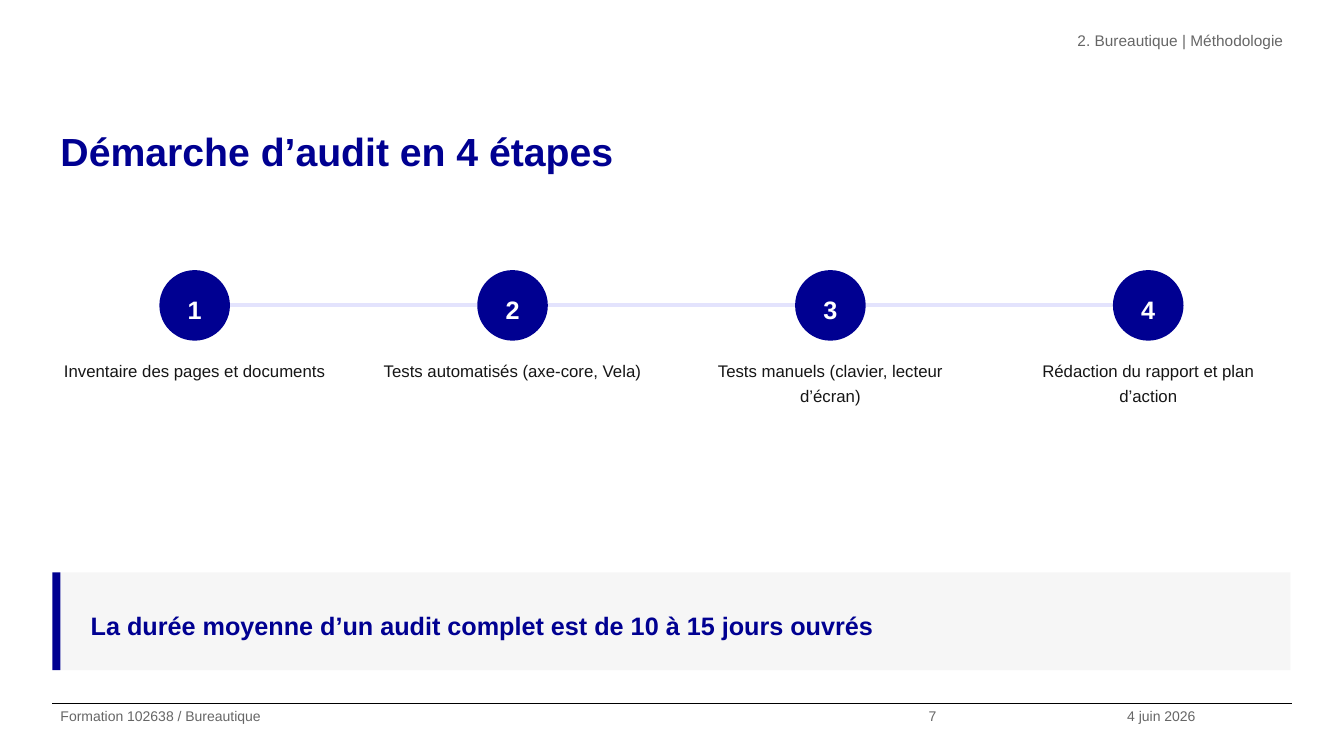
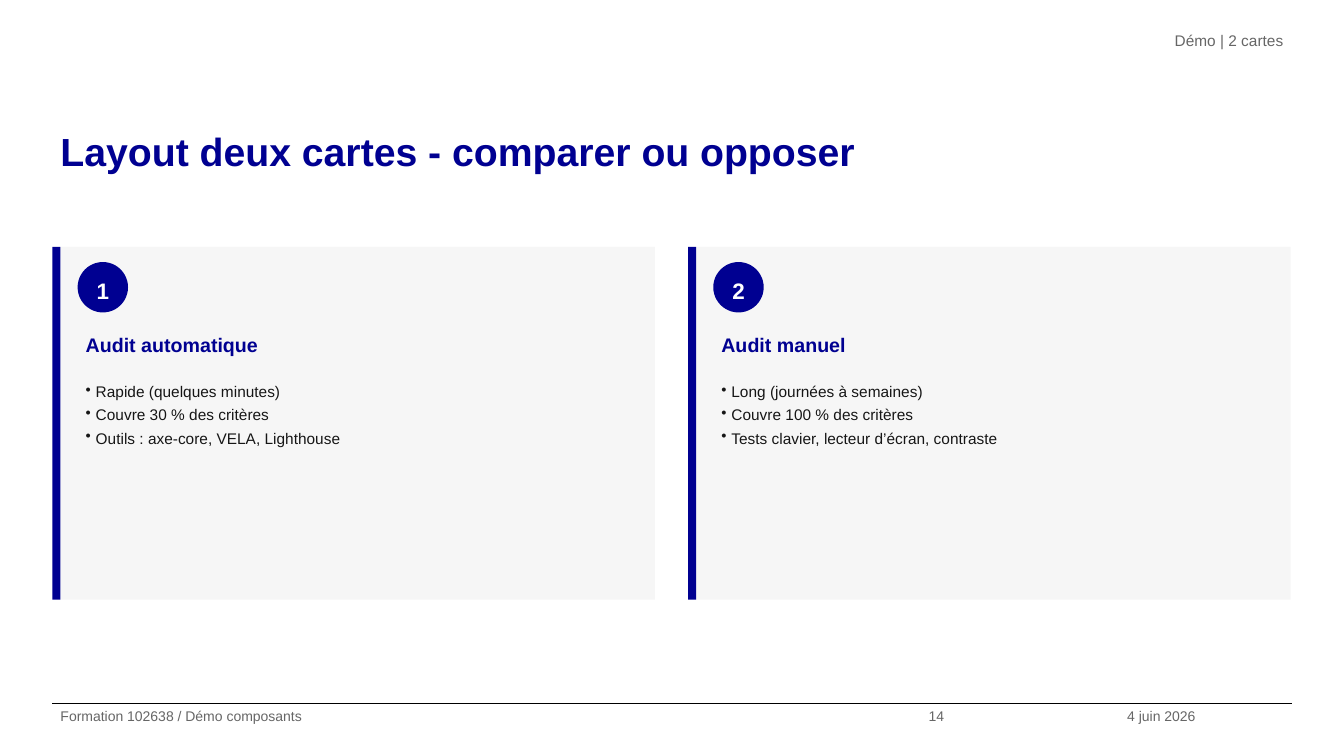
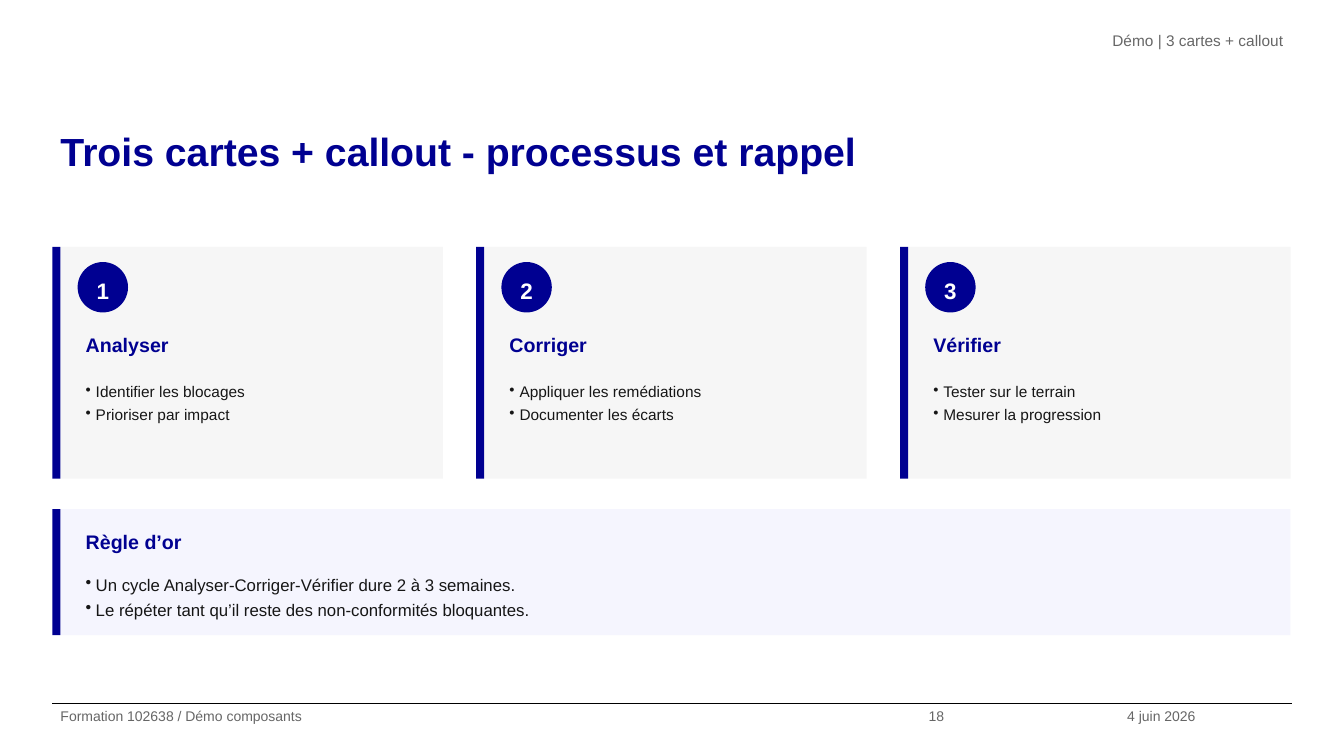
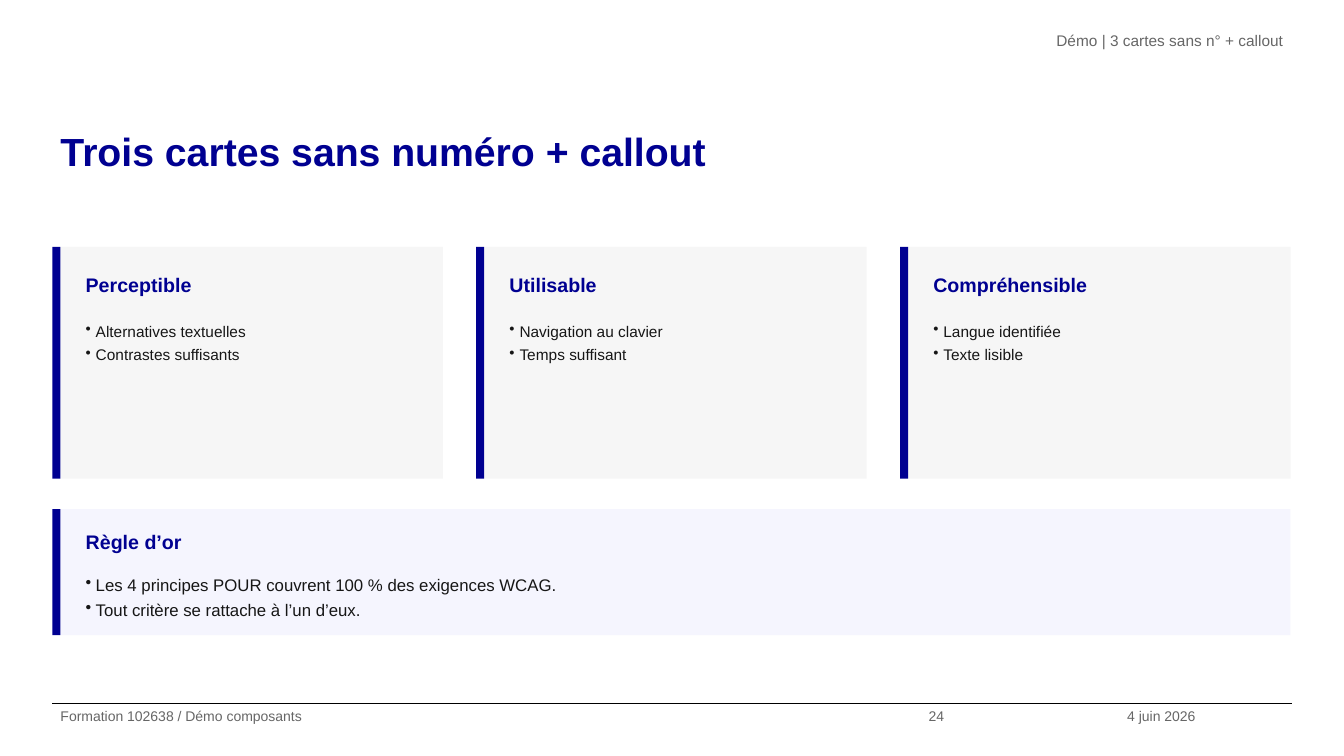
from dataclasses import dataclass
from typing import NamedTuple, Optional

import pptx
import pptx.dml.color
import pptx.enum.shapes
import pptx.enum.text
import pptx.oxml
import pptx.oxml.ns
import pptx.util
from pptx.util import Inches

ALIGN = pptx.enum.text.PP_ALIGN
ANCHOR = pptx.enum.text.MSO_ANCHOR
SHAPE = pptx.enum.shapes.MSO_SHAPE

# Shared look
COLOURS = {
    "blue": "000091", "pale_blue": "E3E3FD", "tint": "F5F5FE", "grey": "F6F6F6",
    "text": "161616", "muted": "666666", "white": "FFFFFF", "black": "000000",
}
FONT = "Arial"
LINE_SPACING = 1.25
BULLET_INDENT = 0.1

# Page grid, in inches
SLIDE_WIDTH, SLIDE_HEIGHT = 13.33, 7.5
MARGIN, GUTTER, ACCENT = 0.52, 0.33, 0.08
CONTENT_WIDTH = 12.28
CARD_TOP, FOOTER_TOP = 2.45, 6.98
DATE = "4 juin 2026"


class Box(NamedTuple):
    left: float
    top: float
    width: float
    height: float


class Style(NamedTuple):
    size: float
    colour: str
    bold: bool = False
    align: ALIGN = ALIGN.LEFT
    anchor: ANCHOR = ANCHOR.TOP
    inset: float = 0.05
    bullets: bool = False


STYLES = {
    "title": Style(28, "blue", bold=True, inset=0),
    "header": Style(11, "muted", align=ALIGN.RIGHT, inset=0),
    "footer": Style(10, "muted", inset=0),
    "step": Style(12, "text", align=ALIGN.CENTER),
    "message": Style(18, "blue", bold=True, anchor=ANCHOR.MIDDLE),
    "heading": Style(14, "blue", bold=True),
    "card_list": Style(11, "text", bullets=True),
    "callout_list": Style(12, "text", bullets=True),
}


@dataclass
class Page:
    title: str
    header: str
    footer: str
    number: int


@dataclass
class Card:
    heading: str
    points: list[str]
    number: Optional[int] = None


def rgb(name: str) -> pptx.dml.color.RGBColor:
    return pptx.dml.color.RGBColor.from_string(COLOURS[name])


def column(index: int, count: int, top: float, height: float) -> Box:
    """Cell of a row of equal columns across the content width."""
    width = (CONTENT_WIDTH - GUTTER * (count - 1)) / count
    return Box(MARGIN + index * (width + GUTTER), top, width, height)


def apply(target: object, values: dict) -> None:
    for name, value in values.items():
        setattr(target, name, value)


def place(shape, box: Box) -> None:
    apply(shape, {name: Inches(value) for name, value in box._asdict().items()})


# Text
def set_bullet(paragraph, bulleted: bool) -> None:
    properties = paragraph._p.get_or_add_pPr()
    indent = Inches(BULLET_INDENT) if bulleted else 0
    properties.set("marL", str(indent))
    properties.set("indent", str(-indent))
    tag = "a:buChar" if bulleted else "a:buNone"
    bullet = pptx.oxml.parse_xml(f"<{tag} {pptx.oxml.ns.nsdecls('a')}/>")
    if bulleted:
        bullet.set("char", "•")
    properties.append(bullet)


def write(shape, lines: list[str], style: Style) -> None:
    frame = shape.text_frame
    apply(frame, {
        "word_wrap": True,
        "auto_size": pptx.enum.text.MSO_AUTO_SIZE.NONE,
        "vertical_anchor": style.anchor,
        "margin_left": Inches(0.08), "margin_right": Inches(0.08),
        "margin_top": Inches(style.inset), "margin_bottom": Inches(style.inset),
    })
    frame.text = "\n".join(lines)
    for paragraph in frame.paragraphs:
        apply(paragraph, {
            "alignment": style.align, "line_spacing": LINE_SPACING,
            "space_before": pptx.util.Pt(0), "space_after": pptx.util.Pt(0),
        })
        set_bullet(paragraph, style.bullets)
        for run in paragraph.runs:
            apply(run.font, {"name": FONT, "size": pptx.util.Pt(style.size), "bold": style.bold})
            run.font.color.rgb = rgb(style.colour)


def add_text(slide, box: Box, lines: list[str], style: str) -> None:
    write(slide.shapes.add_textbox(*map(Inches, box)), lines, STYLES[style])


# Shapes
def add_filled(slide, kind: SHAPE, box: Box, colour: str):
    shape = slide.shapes.add_shape(kind, *map(Inches, box))
    shape.shadow.inherit = False
    shape.fill.solid()
    shape.fill.fore_color.rgb = rgb(colour)
    shape.line.fill.background()
    return shape


def add_line(slide, start: float, end: float, y: float, colour: str, width: float) -> None:
    line = slide.shapes.add_connector(
        pptx.enum.shapes.MSO_CONNECTOR.STRAIGHT, *map(Inches, (start, y, end, y)))
    line.line.color.rgb = rgb(colour)
    line.line.width = pptx.util.Pt(width)
    line._element.spPr.append(
        pptx.oxml.parse_xml(f"<a:effectLst {pptx.oxml.ns.nsdecls('a')}/>"))


def add_badge(slide, left: float, top: float, diameter: float, number: int, size: float) -> None:
    badge = add_filled(slide, SHAPE.OVAL, Box(left, top, diameter, diameter), "blue")
    write(badge, [str(number)], Style(size, "white", True, ALIGN.CENTER, ANCHOR.MIDDLE))


def add_panel(slide, box: Box, colour: str) -> None:
    """Filled band with a blue accent on its left edge."""
    body = box._replace(left=box.left + ACCENT, width=box.width - ACCENT)
    add_filled(slide, SHAPE.RECTANGLE, body, colour)
    add_filled(slide, SHAPE.RECTANGLE, box._replace(width=ACCENT), "blue")


# Components
def add_page(presentation, page: Page):
    slide = presentation.slides.add_slide(presentation.slide_layouts[1])
    title, header = slide.placeholders
    place(title, Box(MARGIN, 1.15, CONTENT_WIDTH, 1.05))
    write(title, [page.title], STYLES["title"])
    place(header, Box(4.83, 0.26, 7.98, 0.52))
    write(header, [page.header], STYLES["header"])

    add_line(slide, MARGIN, 12.81, FOOTER_TOP, "black", 0.8)
    footers = [(MARGIN, 8.61, page.footer), (9.13, 1.97, str(page.number)), (11.1, 1.71, DATE)]
    for left, width, text in footers:
        add_text(slide, Box(left, FOOTER_TOP, width, SLIDE_HEIGHT - FOOTER_TOP), [text], "footer")
    return slide


def add_steps(slide, labels: list[str]) -> None:
    diameter, top = 0.7, 2.68
    cells = [column(index, len(labels), 3.48, 2) for index in range(len(labels))]
    lefts = [cell.left + (cell.width - diameter) / 2 for cell in cells]
    for left, following in zip(lefts, lefts[1:]):
        add_line(slide, left + diameter, following, top + diameter / 2, "pale_blue", 2.88)
    for number, (label, cell, left) in enumerate(zip(labels, cells, lefts), start=1):
        add_badge(slide, left, top, diameter, number, 18)
        add_text(slide, cell, [label], "step")


def add_cards(slide, cards: list[Card], height: float) -> None:
    padding = 0.15
    for index, card in enumerate(cards):
        box = column(index, len(cards), CARD_TOP, height)
        add_panel(slide, box, "grey")
        left, width = box.left + 0.25, box.width - 0.4
        top = box.top + padding
        if card.number is not None:
            add_badge(slide, left, top, 0.5, card.number, 16)
            top += 0.6
        add_text(slide, Box(left, top, width, 0.45), [card.heading], "heading")
        list_top = top + 0.5
        list_height = box.top + box.height - padding - list_top
        add_text(slide, Box(left, list_top, width, list_height), card.points, "card_list")


def add_callout(slide, heading: str, points: list[str]) -> None:
    box = Box(MARGIN, 5.05, CONTENT_WIDTH, 1.25)
    add_panel(slide, box, "tint")
    left, width = box.left + 0.25, box.width - 0.35
    add_text(slide, Box(left, box.top + 0.1, width, 0.4), [heading], "heading")
    add_text(slide, Box(left, box.top + 0.55, width, 0.6), points, "callout_list")


def add_message(slide, text: str) -> None:
    box = Box(MARGIN, 5.68, CONTENT_WIDTH, 0.97)
    add_panel(slide, box, "grey")
    add_text(slide, Box(box.left + 0.3, box.top + 0.1, box.width - 0.4, 0.78), [text], "message")


def main() -> None:
    presentation = pptx.Presentation()
    presentation.slide_width = Inches(SLIDE_WIDTH)
    presentation.slide_height = Inches(SLIDE_HEIGHT)
    demo = "Formation 102638 / Démo composants"

    # Four steps
    slide = add_page(presentation, Page(
        "Démarche d’audit en 4 étapes", "2. Bureautique | Méthodologie",
        "Formation 102638 / Bureautique", 7))
    add_steps(slide, [
        "Inventaire des pages et documents",
        "Tests automatisés (axe-core, Vela)",
        "Tests manuels (clavier, lecteur d’écran)",
        "Rédaction du rapport et plan d’action",
    ])
    add_message(slide, "La durée moyenne d’un audit complet est de 10 à 15 jours ouvrés")

    # Two cards
    slide = add_page(presentation, Page(
        "Layout deux cartes - comparer ou opposer", "Démo | 2 cartes", demo, 14))
    add_cards(slide, [
        Card("Audit automatique", ["Rapide (quelques minutes)", "Couvre 30 % des critères",
                                   "Outils : axe-core, VELA, Lighthouse"], 1),
        Card("Audit manuel", ["Long (journées à semaines)", "Couvre 100 % des critères",
                              "Tests clavier, lecteur d’écran, contraste"], 2),
    ], 3.5)

    # Three numbered cards and a callout
    slide = add_page(presentation, Page(
        "Trois cartes + callout - processus et rappel", "Démo | 3 cartes + callout", demo, 18))
    add_cards(slide, [
        Card("Analyser", ["Identifier les blocages", "Prioriser par impact"], 1),
        Card("Corriger", ["Appliquer les remédiations", "Documenter les écarts"], 2),
        Card("Vérifier", ["Tester sur le terrain", "Mesurer la progression"], 3),
    ], 2.3)
    add_callout(slide, "Règle d’or", [
        "Un cycle Analyser-Corriger-Vérifier dure 2 à 3 semaines.",
        "Le répéter tant qu’il reste des non-conformités bloquantes.",
    ])

    # Three plain cards and a callout
    slide = add_page(presentation, Page(
        "Trois cartes sans numéro + callout", "Démo | 3 cartes sans n° + callout", demo, 24))
    add_cards(slide, [
        Card("Perceptible", ["Alternatives textuelles", "Contrastes suffisants"]),
        Card("Utilisable", ["Navigation au clavier", "Temps suffisant"]),
        Card("Compréhensible", ["Langue identifiée", "Texte lisible"]),
    ], 2.3)
    add_callout(slide, "Règle d’or", [
        "Les 4 principes POUR couvrent 100 % des exigences WCAG.",
        "Tout critère se rattache à l’un d’eux.",
    ])

    presentation.save("out.pptx")


if __name__ == "__main__":
    main()
